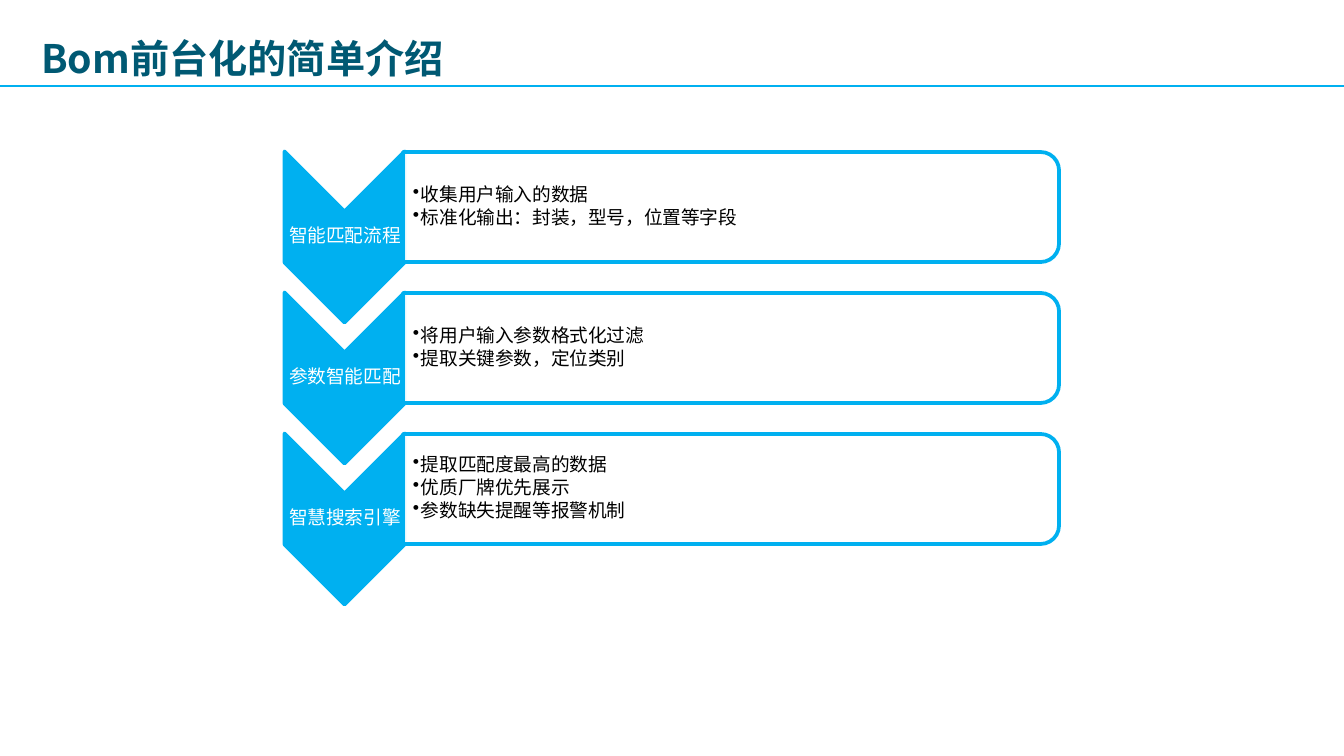
from dataclasses import dataclass

from lxml import etree
from pptx import Presentation
from pptx.dml.color import RGBColor
from pptx.enum.shapes import MSO_CONNECTOR, MSO_SHAPE
from pptx.enum.text import MSO_ANCHOR, MSO_AUTO_SIZE, PP_ALIGN
from pptx.oxml.ns import qn
from pptx.util import Emu, Pt

CHEVRON = MSO_SHAPE.CHEVRON
PANEL = MSO_SHAPE.ROUND_2_SAME_RECTANGLE
STRAIGHT = MSO_CONNECTOR.STRAIGHT
MIDDLE = MSO_ANCHOR.MIDDLE
CENTER = PP_ALIGN.CENTER
LEFT = PP_ALIGN.LEFT

EMU_PER_PX = 914400 / 134.4
ROW_PITCH = 141


@dataclass(frozen=True)
class Theme:
    accent: str = "00B0F0"
    title: str = "005973"
    ink: str = "000000"
    paper: str = "FFFFFF"
    title_font: str = "Noto Sans CJK SC"
    body_font: str = "Lato"
    title_size: int = 21
    body_size: int = 10
    rule_width: float = 1.5
    outline_width: int = 2


THEME = Theme()

STEPS = [
    ("智能匹配流程", ["收集用户输入的数据", "标准化输出：封装，型号，位置等字段"]),
    ("参数智能匹配", ["将用户输入参数格式化过滤", "提取关键参数，定位类别"]),
    ("智慧搜索引擎", ["提取匹配度最高的数据", "优质厂牌优先展示", "参数缺失提醒等报警机制"]),
]


def px(value):
    return Emu(round(value * EMU_PER_PX))


def rgb(code):
    return RGBColor.from_string(code)


def add_span(para, text, font, size, color, bold=False):
    span = para.add_run()
    span.text = text
    span.font.name = font
    span.font.size = Pt(size)
    span.font.bold = bold
    span.font.color.rgb = rgb(color)
    # East Asian characters take the same font
    east_asian = etree.SubElement(span.font._element, qn("a:ea"))
    east_asian.set("typeface", font)


def add_bullet(para):
    properties = para._p.get_or_add_pPr()
    properties.set("marL", str(px(8)))
    properties.set("indent", str(px(-8)))
    etree.SubElement(properties, qn("a:buChar")).set("char", "•")


def add_title(page, text):
    box = page.shapes.add_textbox(px(28), px(28), px(454), px(60))
    frame = box.text_frame
    frame.word_wrap = True
    frame.auto_size = MSO_AUTO_SIZE.SHAPE_TO_FIT_TEXT
    add_span(frame.paragraphs[0], text, THEME.title_font, THEME.title_size,
             THEME.title, bold=True)


def add_rule(page, y):
    rule = page.shapes.add_connector(STRAIGHT, 0, px(y), px(1344), px(y))
    rule.line.color.rgb = rgb(THEME.accent)
    rule.line.width = Pt(THEME.rule_width)
    etree.SubElement(rule._element.spPr, qn("a:effectLst"))


def add_turned_shape(group, kind, left, top, width, height, fill):
    shape = group.shapes.add_shape(kind, px(left), px(top), px(width), px(height))
    shape.rotation = 90
    shape.shadow.inherit = False
    shape.fill.solid()
    shape.fill.fore_color.rgb = rgb(fill)
    shape.line.color.rgb = rgb(THEME.accent)
    shape.line.width = Pt(THEME.outline_width)
    return shape


def set_opacity(shape, percent):
    color = shape._element.spPr.find(qn("a:solidFill"))[0]
    etree.SubElement(color, qn("a:alpha")).set("val", str(percent * 1000))


def add_body_text(group, left, top, width, height, lines, color, inset,
                  gap, align=LEFT, bulleted=False):
    box = group.shapes.add_textbox(px(left), px(top), px(width), px(height))
    frame = box.text_frame
    frame.word_wrap = True
    frame.vertical_anchor = MIDDLE
    frame.margin_left = px(inset)
    frame.margin_top = frame.margin_right = frame.margin_bottom = px(1)
    for index, line in enumerate(lines):
        para = frame.add_paragraph() if index else frame.paragraphs[0]
        para.alignment = align
        para.line_spacing = 0.9
        para.space_after = Pt(gap)
        if bulleted:
            para.level = 1
            add_bullet(para)
        add_span(para, line, THEME.body_font, THEME.body_size, color)


def add_step(group, offset, label, points):
    # Chevron with its label
    add_turned_shape(group, CHEVRON, 259, 177 + offset, 171, 120, THEME.accent)
    add_body_text(group, 285, 211 + offset, 120, 51, [label], THEME.paper,
                  inset=1, gap=3.5, align=CENTER)
    # Panel with its points
    panel = add_turned_shape(group, PANEL, 676, offset - 121, 110, 656, THEME.paper)
    set_opacity(panel, 90)
    add_body_text(group, 403, 157 + offset, 650, 99, points, THEME.ink,
                  inset=10, gap=1.5, bulleted=True)


def main():
    deck = Presentation()
    deck.slide_width, deck.slide_height = px(1344), px(756)
    page = deck.slides.add_slide(deck.slide_layouts[6])

    # Heading
    add_rule(page, 86)
    add_title(page, "Bom前台化的简单介绍")

    # Chevron list
    group = page.shapes.add_group_shape()
    for row, (label, points) in enumerate(STEPS):
        add_step(group, row * ROW_PITCH, label, points)

    deck.save("out.pptx")


if __name__ == "__main__":
    main()
